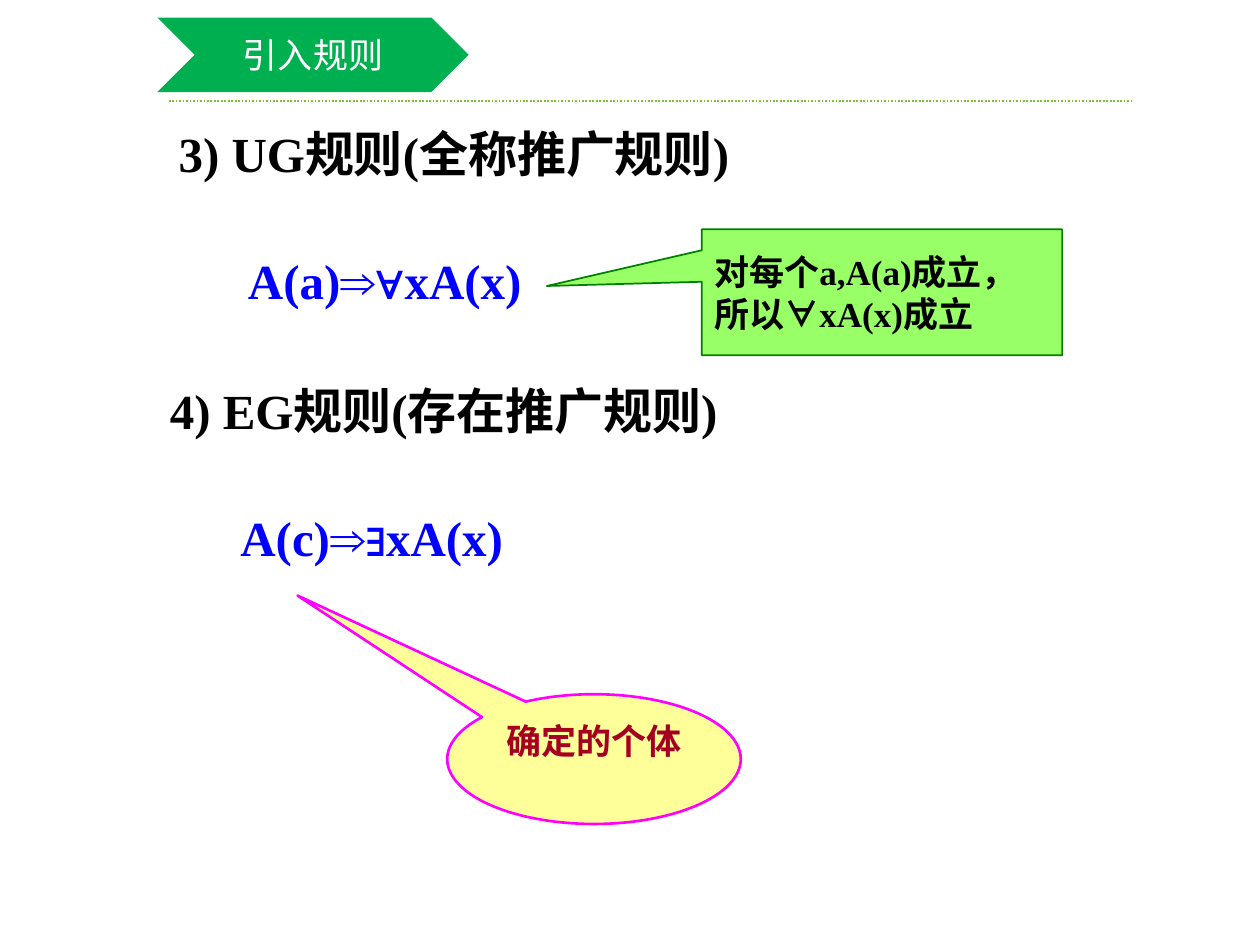
from pptx import Presentation
from pptx.dml.color import RGBColor
from pptx.enum.dml import MSO_LINE
from pptx.enum.shapes import MSO_CONNECTOR, MSO_SHAPE
from pptx.enum.text import MSO_ANCHOR, PP_ALIGN
from pptx.oxml.ns import qn
from pptx.util import Inches, Pt

FONT = "Times New Roman"
BLACK = RGBColor(0x00, 0x00, 0x00)
WHITE = RGBColor(0xFF, 0xFF, 0xFF)
BLUE = RGBColor(0x00, 0x00, 0xFF)
RED = RGBColor(0xA5, 0x00, 0x21)
GREEN = RGBColor(0x00, 0xB0, 0x50)
DARK = RGBColor(0x00, 0x80, 0x00)
LIME = RGBColor(0x99, 0xFF, 0x66)
LEAF = RGBColor(0x7E, 0xC2, 0x34)
CREAM = RGBColor(0xFF, 0xFF, 0x99)
PINK = RGBColor(0xFF, 0x00, 0xFF)
LEFT, CENTER = PP_ALIGN.LEFT, PP_ALIGN.CENTER
TOP, MIDDLE = MSO_ANCHOR.TOP, MSO_ANCHOR.MIDDLE
CHEVRON = MSO_SHAPE.CHEVRON
BOX = MSO_SHAPE.RECTANGULAR_CALLOUT
OVAL = MSO_SHAPE.OVAL_CALLOUT
STRAIGHT = MSO_CONNECTOR.STRAIGHT
DOTS = MSO_LINE.ROUND_DOT


def write(shape, lines, size=20, color=BLACK, bold=True, align=LEFT, anchor=TOP):
    frame = shape.text_frame
    frame.word_wrap = True
    frame.vertical_anchor = anchor
    frame.text = "\n".join(lines)
    for para in frame.paragraphs:
        para.alignment = align
        for run in para.runs:
            font = run.font
            font.name = FONT
            font.size = Pt(size)
            font.bold = bold
            font.color.rgb = color


def add_label(slide, text, left, top, width, color=BLACK):
    box = slide.shapes.add_textbox(
        Inches(left), Inches(top), Inches(width), Inches(0.57))
    write(box, [text], size=28, color=color)


def add_shape(slide, kind, place, fill, line=None, weight=1, tip=()):
    shape = slide.shapes.add_shape(kind, *map(Inches, place))
    shape.shadow.inherit = False
    shape.fill.solid()
    shape.fill.fore_color.rgb = fill
    if line is None:
        shape.line.fill.background()
    else:
        shape.line.color.rgb = line
        shape.line.width = Pt(weight)
    for index, value in enumerate(tip):
        shape.adjustments[index] = value
    return shape


def add_rule(slide, left, right, top):
    rule = slide.shapes.add_connector(
        STRAIGHT, Inches(left), Inches(top), Inches(right), Inches(top))
    rule.line.color.rgb = LEAF
    rule.line.width = Pt(1)
    rule.line.dash_style = DOTS
    props = rule._element.spPr
    props.append(props.makeelement(qn("a:effectLst"), {}))


def main():
    deck = Presentation()
    deck.slide_width, deck.slide_height = Inches(10), Inches(7.5)
    slide = deck.slides.add_slide(deck.slide_layouts[6])

    add_label(slide, "3) UG规则(全称推广规则)", 1.32, 0.93, 5.36)
    add_label(slide, "4) EG规则(存在推广规则)", 1.25, 2.97, 4.6)
    add_label(slide, "A(a)⇒∀xA(x)", 1.87, 1.94, 4.27, BLUE)
    add_label(slide, "A(c)⇒∃xA(x)", 1.81, 3.98, 3.93, BLUE)

    reason = add_shape(slide, BOX, (5.57, 1.82, 2.86, 1), LIME, DARK,
                       tip=(-0.93, -0.05))
    write(reason, ["对每个a,A(a)成立，", "所以∀xA(x)成立"], anchor=MIDDLE)
    note = add_shape(slide, OVAL, (3.55, 5.51, 2.33, 1.03), CREAM, PINK, 1.5,
                     tip=(-1.01, -1.26))
    write(note, ["确定的个体"], color=RED, align=CENTER)

    add_rule(slide, 1.34, 8.98, 0.8)
    title = add_shape(slide, CHEVRON, (1.25, 0.14, 2.47, 0.59), GREEN)
    write(title, ["引入规则"], color=WHITE, bold=False, align=CENTER,
          anchor=MIDDLE)

    deck.save("out.pptx")


if __name__ == "__main__":
    main()
